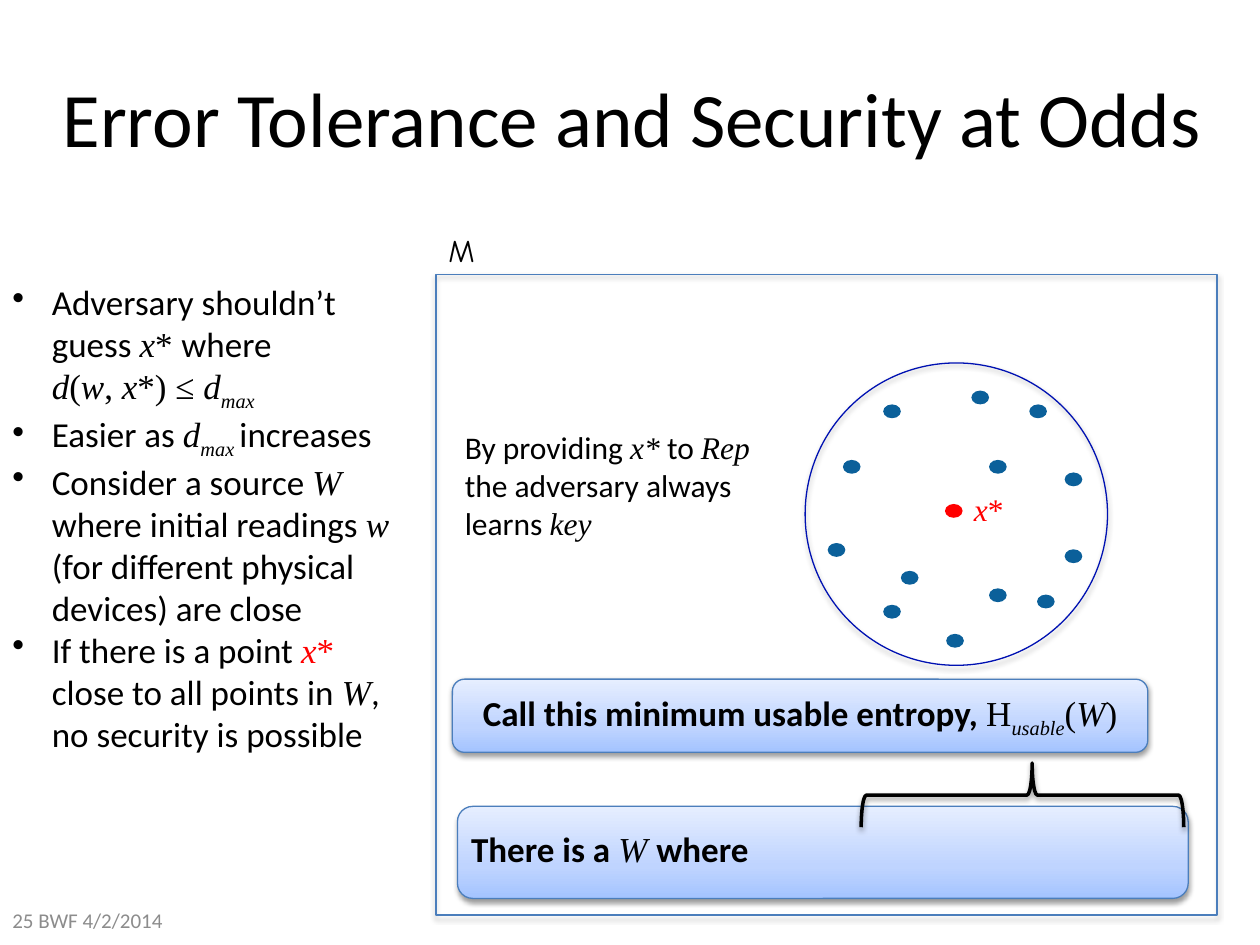
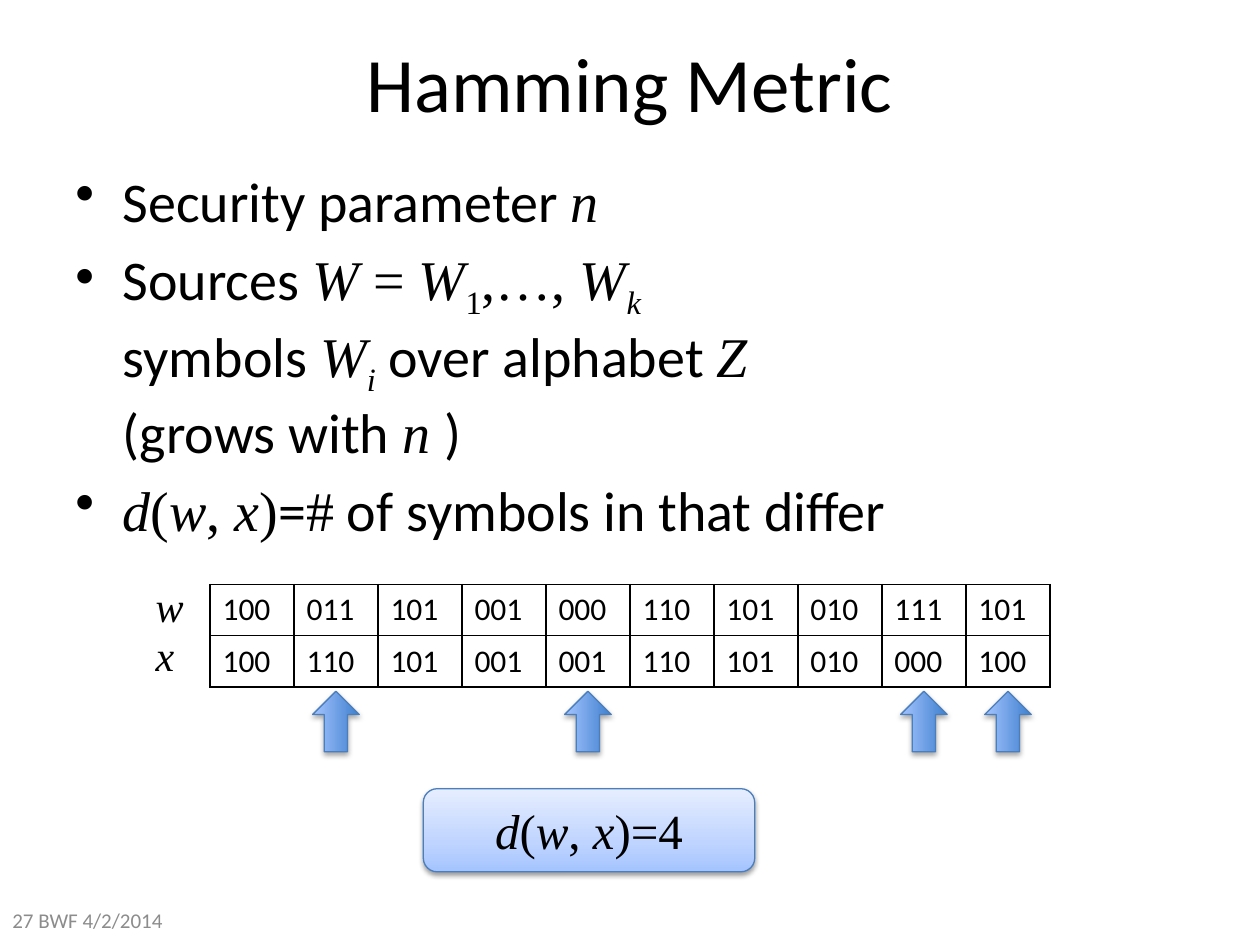
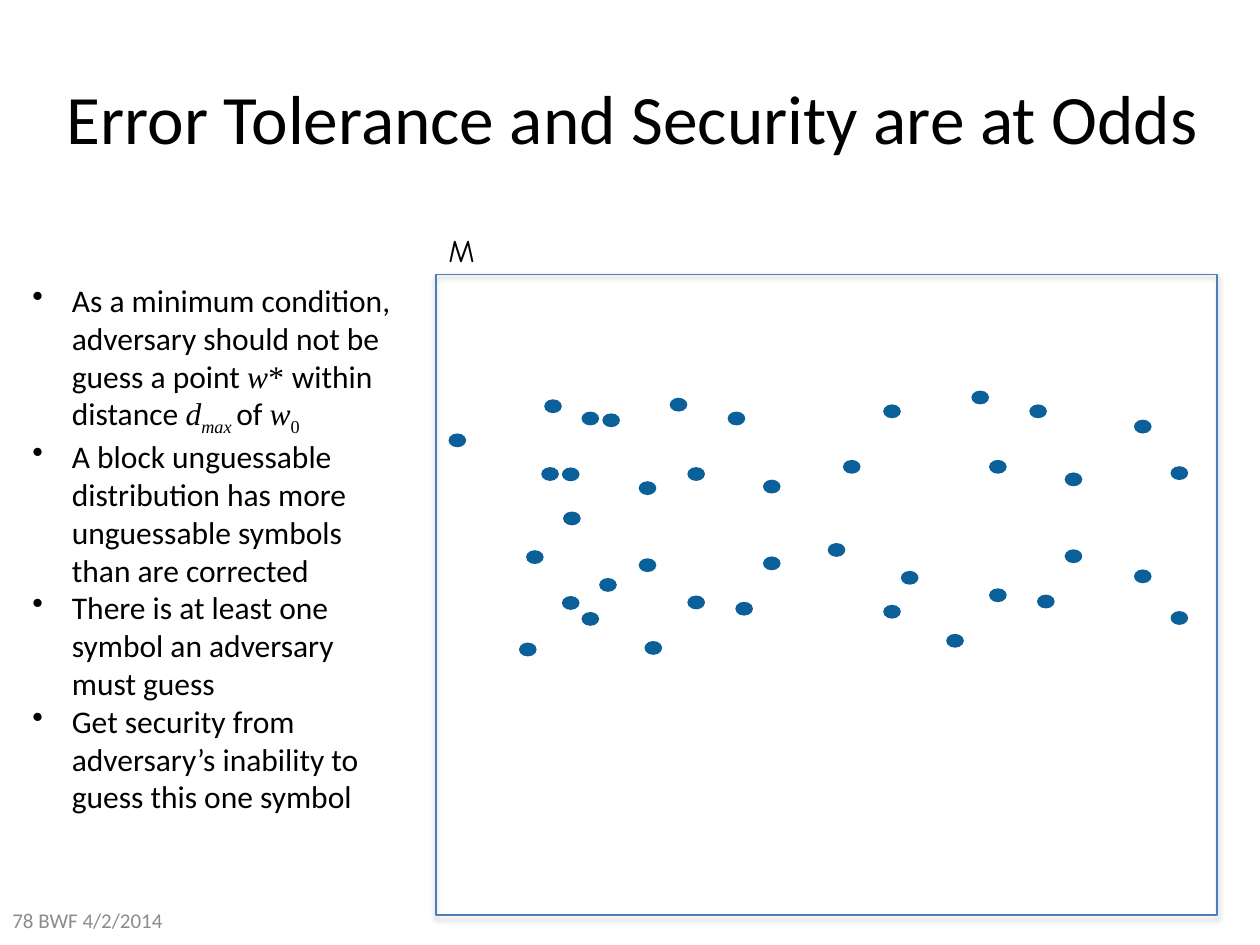
import pptx
import pptx.util
import pptx.dml.color
import pptx.enum.shapes
import pptx.enum.text
import pptx.oxml
import pptx.oxml.ns

Pt = pptx.util.Pt
RGB = pptx.dml.color.RGBColor
SHAPE = pptx.enum.shapes.MSO_SHAPE
ANCHOR = pptx.enum.text.MSO_ANCHOR
CENTER = pptx.enum.text.PP_ALIGN.CENTER
NS = 'xmlns:a="http://schemas.openxmlformats.org/drawingml/2006/main"'

BLACK = RGB(0x00, 0x00, 0x00)
RED = RGB(0xFF, 0x00, 0x00)
GRAY = RGB(0x8C, 0x8C, 0x8C)
EDGE = RGB(0x4B, 0x7E, 0xBC)
CIRCLE = RGB(0x00, 0x11, 0xB2)
DOT = RGB(0x0B, 0x60, 0x9A)
PALE = RGB(0xE6, 0xEE, 0xFF)
SOFT = RGB(0xBF, 0xD4, 0xFF)
SKY = RGB(0xA4, 0xC4, 0xFF)
STRONG = RGB(0x3F, 0x80, 0xCE)
CALLOUT_GRADIENT = [(0, SKY), (35, SOFT), (100, PALE)]
ARROW_GRADIENT = [(0, STRONG), (100, SKY)]

BODY_FONT, MATH_FONT = "Calibri", "Times New Roman"

# Boxes are left, top, width, height in points
WIDE_TITLE = (11.5, 21.6, 699.8, 90)
TITLE = (36, 1.4, 648, 90)
FOOTER = (0, 511.2, 167.8, 28.8)
PANEL = (249.1, 157, 446.4, 365.8)

# Dot positions inside the panel
CLUSTER = [(223.9, 153.3), (232.6, 105.8), (339.1, 74.1), (291.6, 205.2), (265.7, 169.2),
           (306, 66.2), (359.3, 113), (316.1, 179.2), (359.3, 156.9), (316.1, 105.8),
           (255.6, 188.6), (343.5, 182.8), (255.6, 74.1)]
CLUSTER_SHIFT = (-172.4, 4.1)
SCATTERED = [(398.9, 82.8), (419.8, 109.4), (95.1, 79.2), (47.5, 210.2), (419.8, 192.2),
             (61.9, 71.2), (115.9, 118), (72, 183.6), (115.9, 162), (72, 110.1),
             (72.7, 135.3), (7.2, 90.7), (398.9, 168.4)]

# Runs are plain text or (text, style): t math font, i italic math,
# s subscript, b bold, r red
DISTANCE = [("d", "i"), ("(", "t"), ("w", "i"), (", ", "t"), ("x", "i")]


def inside(box, left, top, width, height):
    return box[0] + left, box[1] + top, width, height


def write(tf, paragraphs, size, color=BLACK, font=BODY_FONT, align=None, bullet=0, before=0):
    """Fill a text frame; bullet is the hanging indent in points."""
    for i, runs in enumerate(paragraphs):
        p = tf.paragraphs[0] if i == 0 else tf.add_paragraph()
        p.font.size, p.font.name, p.font.color.rgb = Pt(size), font, color
        p.space_before = Pt(before)
        if align is not None:
            p.alignment = align
        if bullet:
            pPr = p._p.get_or_add_pPr()
            pPr.set("marL", str(Pt(bullet)))
            pPr.set("indent", str(-Pt(bullet)))
            mark = pptx.oxml.parse_xml(f'<a:buChar {NS} char="•"/>')
            pPr.find(pptx.oxml.ns.qn("a:defRPr")).addprevious(mark)
        for run in runs:
            if run == "\n":
                p.add_line_break()
                continue
            text, style = (run, "") if isinstance(run, str) else run
            r = p.add_run()
            r.text = text
            if "t" in style or "i" in style:
                r.font.name = MATH_FONT
            if "i" in style:
                r.font.italic = True
            if "b" in style:
                r.font.bold = True
            if "r" in style:
                r.font.color.rgb = RED
            if "s" in style:
                r._r.get_or_add_rPr().set("baseline", "-25000")


def add_text(slide, box, paragraphs, size, wrap=True, anchor=ANCHOR.TOP, **style):
    tf = slide.shapes.add_textbox(*map(Pt, box)).text_frame
    tf.word_wrap = wrap
    tf.vertical_anchor = anchor
    write(tf, paragraphs, size, **style)


def add_shape(slide, kind, box, line=None, weight=0.75, fill=None, gradient=None, shadow=None):
    """Draw a preset shape; shadow is (opacity %, distance)."""
    sp = slide.shapes.add_shape(kind, *map(Pt, box))
    sp.shadow.inherit = False
    if line is None:
        sp.line.fill.background()
    else:
        sp.line.color.rgb = line
        sp.line.width = Pt(weight)
    spPr = sp._element.spPr
    if gradient:
        stops = "".join(f'<a:gs pos="{pos * 1000}"><a:srgbClr val="{color}"/></a:gs>'
                        for pos, color in gradient)
        spPr.find(pptx.oxml.ns.qn("a:prstGeom")).addnext(pptx.oxml.parse_xml(
            f'<a:gradFill {NS} rotWithShape="1"><a:gsLst>{stops}</a:gsLst>'
            '<a:lin ang="16200000" scaled="0"/></a:gradFill>'))
    elif fill is not None:
        sp.fill.solid()
        sp.fill.fore_color.rgb = fill
    else:
        sp.fill.background()
    if shadow:
        opacity, distance = shadow
        spPr.find(pptx.oxml.ns.qn("a:effectLst")).append(pptx.oxml.parse_xml(
            f'<a:outerShdw {NS} blurRad="{Pt(3.1)}" dist="{Pt(distance)}" dir="5400000" '
            f'rotWithShape="0"><a:srgbClr val="000000"><a:alpha val="{opacity * 1000}"/>'
            '</a:srgbClr></a:outerShdw>'))
    return sp


SHADOW = (35, 1.8)
CALLOUT_SHADOW = (38, 1.6)


def add_callout(slide, box, runs=None, size=20):
    sp = add_shape(slide, SHAPE.ROUNDED_RECTANGLE, box, line=EDGE,
                   gradient=CALLOUT_GRADIENT, shadow=CALLOUT_SHADOW)
    if runs:
        tf = sp.text_frame
        tf.word_wrap = True
        tf.vertical_anchor = ANCHOR.MIDDLE
        tf.margin_left = tf.margin_right = tf.margin_top = tf.margin_bottom = Pt(3.6)
        write(tf, [runs], size, align=CENTER)


def add_frame(prs, title, number, box, size=44):
    """Start a slide with its title and footer."""
    slide = prs.slides.add_slide(prs.slide_layouts[6])
    add_text(slide, box, [[title]], size, anchor=ANCHOR.MIDDLE, align=CENTER)
    add_text(slide, FOOTER, [[f"{number} BWF 4/2/2014"]], 12, anchor=ANCHOR.MIDDLE, color=GRAY)
    return slide


def add_panel(slide, box):
    add_shape(slide, SHAPE.RECTANGLE, box, line=EDGE, shadow=SHADOW)
    add_text(slide, inside(box, 0, -28.8, 32.4, 28.8), [["M"]], 18, wrap=False,
             font="Comic Neue")


def add_dots(slide, box, points, color=DOT):
    for x, y in points:
        add_shape(slide, SHAPE.OVAL, inside(box, x, y, 10.1, 7.9), fill=color)


def add_ball(slide, box):
    """Circle of readings around the centre x*, with its remark."""
    add_shape(slide, SHAPE.OVAL, inside(box, 211, 50.4, 172.8, 172.8),
              line=CIRCLE, shadow=SHADOW)
    add_dots(slide, box, CLUSTER)
    add_dots(slide, box, [(290.9, 131)], RED)
    add_text(slide, inside(box, 300.3, 119.5, 33.1, 28.8), [[("x", "ir"), ("*", "tr")]], 18,
             wrap=False)
    add_text(slide, inside(box, 9.4, 84.2, 188.6, 72.7), [
        ["By providing ", ("x*", "i"), " to ", ("Rep", "i")],
        ["the adversary always"],
        ["learns ", ("key", "i")],
    ], 18, wrap=False)


def add_entropy_callouts(slide, box):
    """Two callouts joined by a brace."""
    add_callout(slide, inside(box, 12.3, 303.8, 417.6, 52.6))
    add_text(slide, inside(box, 13, 312.4, 172.8, 31.7),
             [[("There is a ", "b"), ("W ", "i"), ("where", "b")]], 20, wrap=False)
    add_callout(slide, inside(box, 9.4, 231.1, 397.4, 41.8), [
        ("Call this minimum usable entropy, ", "b"), ("H", "t"), ("usable", "is"),
        ("(", "t"), ("W", "i"), (")", "t")])
    sp = add_shape(slide, SHAPE.LEFT_BRACE, inside(box, 316.8, 205.2, 36.7, 184.3),
                   line=BLACK, weight=2, shadow=CALLOUT_SHADOW)
    sp.rotation = 90
    sp.adjustments[0], sp.adjustments[1] = 0.08, 0.47


def add_symbol_table(slide, box, rows):
    """Readings in a ruled grid, arrows under the columns that differ."""
    left, top, width, height = box
    shape = slide.shapes.add_table(len(rows), len(rows[0][1]), *map(Pt, box))
    table = shape.table
    table.first_row = table.horz_banding = False
    for i, (name, values) in enumerate(rows):
        for j, value in enumerate(values):
            cell = table.cell(i, j)
            write(cell.text_frame, [[value]], 18)
            tcPr = cell._tc.get_or_add_tcPr()
            for side in ("lnL", "lnR", "lnT", "lnB"):
                tcPr.append(pptx.oxml.parse_xml(
                    f'<a:{side} {NS} w="{Pt(1)}"><a:solidFill><a:srgbClr val="{BLACK}"/>'
                    f'</a:solidFill></a:{side}>'))
            cell.fill.background()
        add_text(slide, (left - 38.2, top - 5.8 + i * 28.1, 32.4, 36), [[(name, "i")]], 24,
                 wrap=False)
    column = width / len(rows[0][1])
    for j, (a, b) in enumerate(zip(rows[0][1], rows[1][1])):
        if a != b:
            middle = left + (j + 0.5) * column
            sp = add_shape(slide, SHAPE.RIGHT_ARROW,
                           (middle - 17.3, top + height + 6.5, 34.6, 26.6), line=EDGE,
                           gradient=ARROW_GRADIENT, shadow=SHADOW)
            sp.rotation = 270


def security_slide(prs):
    slide = add_frame(prs, "Error Tolerance and Security at Odds", 25, WIDE_TITLE)
    add_panel(slide, PANEL)
    add_text(slide, (0, 157, 238.3, 273.6), [
        ["Adversary shouldn’t guess ", ("x", "i"), ("* ", "t"), "where ", "\n",
         *DISTANCE, ("*) ≤ ", "t"), ("d", "i"), ("max", "is")],
        ["Easier as ", ("d", "i"), ("max ", "is"), "increases"],
        ["Consider a source ", ("W ", "i"), "where initial readings ", ("w", "i"),
         " (for different physical devices) are close"],
        ["If there is a point ", ("x", "ir"), ("*", "tr"), " close to all points in ",
         ("W", "i"), ", no security is possible"],
    ], 20, bullet=22.5)
    add_ball(slide, PANEL)
    add_entropy_callouts(slide, PANEL)


def hamming_slide(prs):
    slide = add_frame(prs, "Hamming Metric", 27, TITLE)
    add_text(slide, (36, 91.4, 648, 239), [
        ["Security parameter ", ("n", "i")],
        ["Sources ", ("W", "i"), (" = ", "t"), ("W", "i"), ("1", "ts"), (",…, ", "t"),
         ("W", "i"), ("k ", "is"), "\n",
         "symbols ", ("W", "i"), ("i", "is"), " over alphabet ", ("Z ", "i"), "\n",
         "(grows with ", ("n ", "i"), ")"],
        [*DISTANCE, (")", "t"), "=", ("#", "t"), " of symbols in that differ"],
    ], 32, bullet=27, before=6.4)
    add_symbol_table(slide, (120, 334.1, 480, 58.4), [
        ("w", "100 011 101 001 000 110 101 010 111 101".split()),
        ("x", "100 110 101 001 001 110 101 010 000 100".split()),
    ])
    add_callout(slide, (241.9, 450.7, 189.4, 47.5), [*DISTANCE, (")=4", "t")], 28)


def unguessable_slide(prs):
    slide = add_frame(prs, "Error Tolerance and Security are at Odds", 78, WIDE_TITLE, 39.6)
    add_panel(slide, PANEL)
    dx, dy = CLUSTER_SHIFT
    add_dots(slide, PANEL, CLUSTER + [(x + dx, y + dy) for x, y in CLUSTER] + SCATTERED)
    add_text(slide, (11.5, 157, 226.1, 334.1), [
        ["As a minimum condition, adversary should not be guess a point ", ("w", "i"),
         ("* ", "t"), "within distance ", ("d", "i"), ("max ", "is"), "of ", ("w", "i"),
         ("0", "ts")],
        ["A block unguessable distribution has more unguessable symbols than are corrected"],
        ["There is at least one symbol an adversary must guess"],
        ["Get security from adversary’s inability to guess this one symbol"],
    ], 18, bullet=22.5)


def main():
    prs = pptx.Presentation()
    prs.slide_width, prs.slide_height = Pt(720), Pt(540)
    security_slide(prs)
    hamming_slide(prs)
    unguessable_slide(prs)
    prs.save("out.pptx")


if __name__ == "__main__":
    main()
